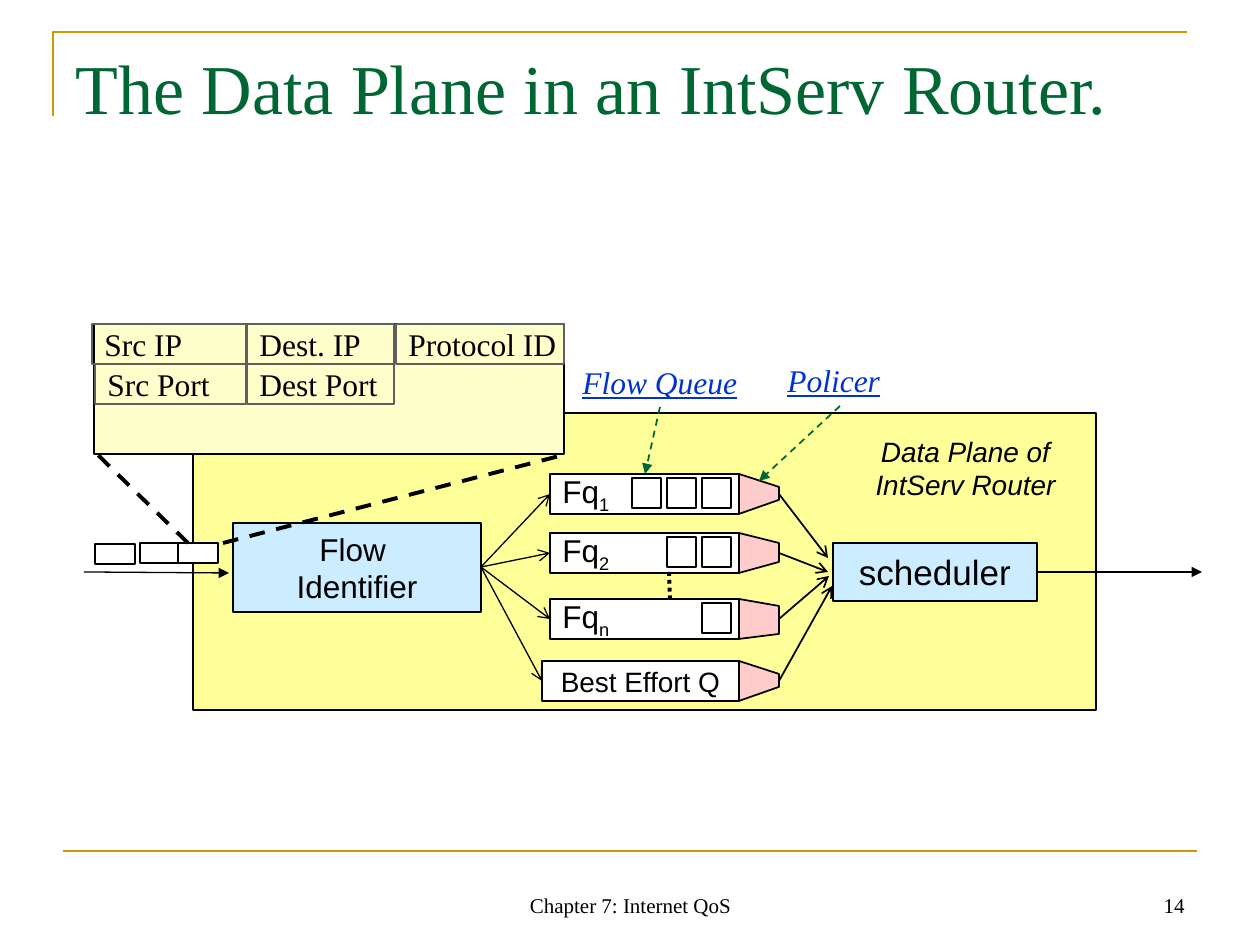
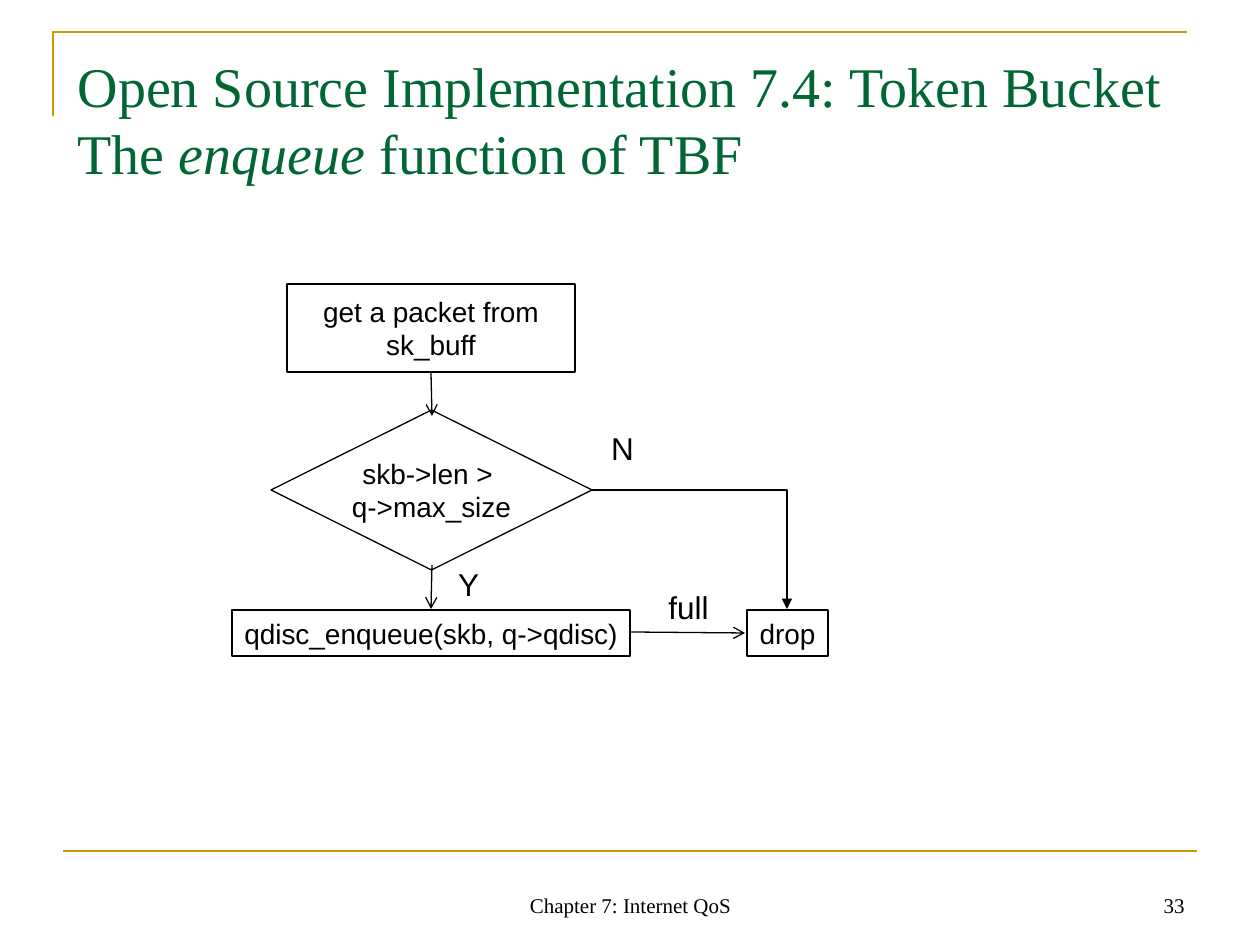
from typing import NamedTuple

from lxml.etree import SubElement
from pptx import Presentation
from pptx.dml.color import RGBColor
from pptx.enum.dml import MSO_LINE
from pptx.enum.shapes import MSO_CONNECTOR as LINK, MSO_SHAPE as SHAPE
from pptx.enum.text import MSO_ANCHOR as ANCHOR, MSO_AUTO_SIZE, PP_ALIGN as ALIGN
from pptx.oxml.ns import qn
from pptx.util import Emu, Pt

EMU_PER_PX = 914400 / 126
SERIF, SANS = "Times New Roman", "Arial"
BLACK, WHITE, GREEN, GOLD = "000000", "FFFFFF", "006633", "CC9900"
GREY, BLUE, YELLOW, CREAM = "5F5F5F", "0033CC", "FFFF99", "FFFFCC"
SKY, PINK = "CCECFF", "FFCCCC"


class Box(NamedTuple):
    """A rectangle in px that can hand out areas and points of itself."""
    left: int
    top: int
    width: int
    height: int

    def area(self, x, y, width, height):
        """Return a box placed relative to this one."""
        return Box(self.left + x, self.top + y, width, height)

    def at(self, x, y):
        """Return a point placed relative to this box."""
        return self.left + x, self.top + y


def px(length):
    """Turn px into EMU."""
    return Emu(round(length * EMU_PER_PX))


def color(value):
    """Turn a hex string into a colour."""
    return RGBColor.from_string(value)


def write(frame, text, size, font=SANS, ink=BLACK, align=ALIGN.CENTER,
          anchor=ANCHOR.MIDDLE, wrap=False, italic=None, underline=None):
    """Fill a text frame in one style and return its last paragraph."""
    frame.text = text
    frame.word_wrap = wrap
    frame.auto_size = MSO_AUTO_SIZE.NONE
    frame.vertical_anchor = anchor
    for para in frame.paragraphs:
        para.alignment = align
        para.font.name = font
        para.font.size = Pt(size)
        para.font.color.rgb = color(ink)
        para.font.italic = italic
        para.font.underline = underline
    return frame.paragraphs[-1]


def add_span(para, text):
    """Append a run to a paragraph and return it."""
    span = para.add_run()
    span.text = text
    return span


def paint(shape, fill, line, width):
    """Set fill and outline of a shape and drop its shadow."""
    shape.shadow.inherit = False
    if fill:
        shape.fill.solid()
        shape.fill.fore_color.rgb = color(fill)
    else:
        shape.fill.background()
    shape.line.color.rgb = color(line)
    shape.line.width = Pt(width)


def add_block(page, box, fill=None, line=BLACK, width=0.75, kind=SHAPE.RECTANGLE):
    """Draw a preset shape and return its text frame."""
    block = page.shapes.add_shape(kind, *map(px, box))
    paint(block, fill, line, width)
    return block.text_frame


def add_label(page, box, text, size, anchor=ANCHOR.TOP, **style):
    """Draw a text box."""
    label = page.shapes.add_textbox(*map(px, box))
    write(label.text_frame, text, size, anchor=anchor, **style)


def add_outline(page, points, fill=None, line=BLACK, width=1.0, close=True):
    """Draw a freeform through the given points."""
    builder = page.shapes.build_freeform(*points[0], scale=EMU_PER_PX)
    builder.add_line_segments(points[1:], close=close)
    paint(builder.convert_to_shape(), fill, line, width)


def add_line(page, start, end, line=BLACK, width=0.75, tail=None, dash=None, bent=False):
    """Draw a line, arrow or elbow between two points."""
    link = page.shapes.add_connector(
        LINK.ELBOW if bent else LINK.STRAIGHT, *map(px, start + end))
    link.line.color.rgb = color(line)
    link.line.width = Pt(width)
    if dash:
        link.line.dash_style = dash
    if tail:
        SubElement(link.get_or_add_ln(), qn("a:tailEnd"), type=tail)
    properties = link._element.spPr
    SubElement(properties, qn("a:effectLst"))
    if bent:
        properties.find(qn("a:prstGeom")).set("prst", "bentConnector2")


def add_page(deck, number, title_box, title, size):
    """Add a slide with its frame, footer and title; return it with the title paragraph."""
    page = deck.slides.add_slide(deck.slide_layouts[5])
    add_outline(page, [(53, 116), (53, 32), (1187, 32)], line=GOLD, width=1.5, close=False)
    add_line(page, (63, 851), (1197, 851), GOLD, 1.5)
    for box, text, align in ((Box(431, 861, 399, 63), "Chapter 7: Internet QoS", ALIGN.CENTER),
                             (Box(903, 861, 294, 63), str(number), ALIGN.RIGHT)):
        add_label(page, box, text, 12, ANCHOR.BOTTOM, font=SERIF, align=align, wrap=True)
    heading = page.shapes.title
    heading.left, heading.top, heading.width, heading.height = map(px, title_box)
    para = write(heading.text_frame, title, size, SERIF, GREEN, ALIGN.LEFT, ANCHOR.TOP, True)
    return page, para


def draw_header(page, box):
    """Draw the packet header fields and the dashed zoom lines to the packet."""
    add_block(page, box, CREAM)
    fields = (("Src IP", -2, 0, 154), ("Dest. IP", 153, 0, 147), ("Protocol ID", 302, 0, 168),
              ("Src Port", 1, 40, 151), ("Dest Port", 153, 40, 147))
    for name, x, y, width in fields:
        field = add_block(page, box.area(x, y, width, 40), line=GREY)
        write(field, name, 18, SERIF, align=ALIGN.LEFT)
    for start, end in (((94, 219), (4, 131)), ((129, 219), (473, 130))):
        add_line(page, box.at(*start), box.at(*end), width=2.25, dash=MSO_LINE.DASH)


def draw_queue(page, box, subscript, packets):
    """Draw one queue with its waiting packets at the right end."""
    frame = add_block(page, box, WHITE)
    if subscript:
        para = write(frame, "Fq", 18, align=ALIGN.LEFT)
        add_span(para, subscript)._r.get_or_add_rPr().set("baseline", "-25000")
    else:
        write(frame, "Best Effort Q", 16)
    for index in range(packets):
        add_block(page, box.area(152 - 35 * index, 4, 29, 30), WHITE, width=1)


def draw_router(page, box):
    """Draw the router with identifier, queues, policers and scheduler."""
    add_block(page, box, YELLOW)
    add_label(page, box.area(670, 15, 205, 81), "Data Plane of\vIntServ Router", 16, italic=True)
    write(add_block(page, box.area(40, 110, 248, 89), SKY), "Flow \vIdentifier", 18)
    write(add_block(page, box.area(640, 130, 204, 58), SKY), "scheduler", 20)
    queues = (("1", 3, 357, 61, 13, 26, (635, 145)),
              ("2", 2, 357, 120, 10, 29, (635, 159)),
              ("n", 1, 357, 186, 7, 35, (636, 163)),
              ("", 0, 349, 248, 13, 26, (639, 173)))
    for subscript, packets, left, top, upper, lower, target in queues:
        draw_queue(page, box.area(left, top, 546 - left, 40), subscript, packets)
        corners = ((546, 0), (586, upper), (586, lower), (546, 40))
        add_outline(page, [box.at(x, top + y) for x, y in corners], PINK)
        add_line(page, box.at(288, 154), box.at(left, top + 20), tail="arrow")
        add_line(page, box.at(586, top + 20), box.at(*target), width=1, tail="arrow")
    add_line(page, box.at(476, 159), box.at(477, 188), width=2.25, dash=MSO_LINE.ROUND_DOT)
    for x, y in ((-98, 131), (-53, 130), (-15, 130)):
        add_block(page, box.area(x, y, 40, 20), WHITE)
    for start, end in (((844, 159), (1009, 159)), ((-109, 159), (36, 160))):
        add_line(page, box.at(*start), box.at(*end), tail="triangle")
    callouts = (("Flow Queue", (377, -56, 180, 50), (467, -6), (452, 61)),
                ("Policer", (582, -58, 131, 50), (647, -7), (566, 68)))
    for name, place, start, end in callouts:
        add_label(page, box.area(*place), name, 18, font=SERIF, ink=BLUE,
                  align=ALIGN.LEFT, italic=True, underline=True)
        add_line(page, box.at(*start), box.at(*end), GREEN, 1, "triangle", MSO_LINE.DASH)


def draw_flowchart(page, box):
    """Draw the enqueue flowchart."""
    process = SHAPE.FLOWCHART_PROCESS
    steps = (("get a packet from sk_buff", (55, 0, 288, 88), process, True),
             ("skb->len > \nq->max_size", (39, 126, 321, 160), SHAPE.FLOWCHART_DECISION, False),
             ("qdisc_enqueue(skb, q->qdisc)", (0, 326, 398, 46), process, False),
             ("drop", (515, 326, 81, 46), process, False))
    for text, place, kind, wrap in steps:
        write(add_block(page, box.area(*place), kind=kind), text, 16, wrap=wrap)
    for start, end in (((199, 88), (200, 132)), ((200, 281), (199, 325)), ((399, 348), (513, 349))):
        add_line(page, box.at(*start), box.at(*end), tail="arrow")
    add_line(page, box.at(360, 206), box.at(555, 325), width=1, tail="triangle", bent=True)
    for text, place in (("Y", (213, 275, 47, 50)), ("N", (366, 139, 49, 50)),
                        ("full", (423, 298, 67, 50))):
        add_label(page, box.area(*place), text, 18)


def main():
    """Build both slides and save the deck."""
    deck = Presentation()
    deck.slide_width, deck.slide_height = px(1260), px(945)
    page, _ = add_page(deck, 14, Box(63, 38, 1134, 158),
                       "The Data Plane in an IntServ Router.", 40)
    draw_router(page, Box(193, 413, 903, 297))
    draw_header(page, Box(94, 324, 470, 130))
    page, para = add_page(deck, 33, Box(65, 45, 1147, 161),
                          "Open Source Implementation 7.4: Token Bucket\vThe ", 32)
    add_span(para, "enqueue").font.italic = True
    add_span(para, " function of TBF")
    draw_flowchart(page, Box(232, 284, 596, 372))
    deck.save("out.pptx")


if __name__ == "__main__":
    main()
